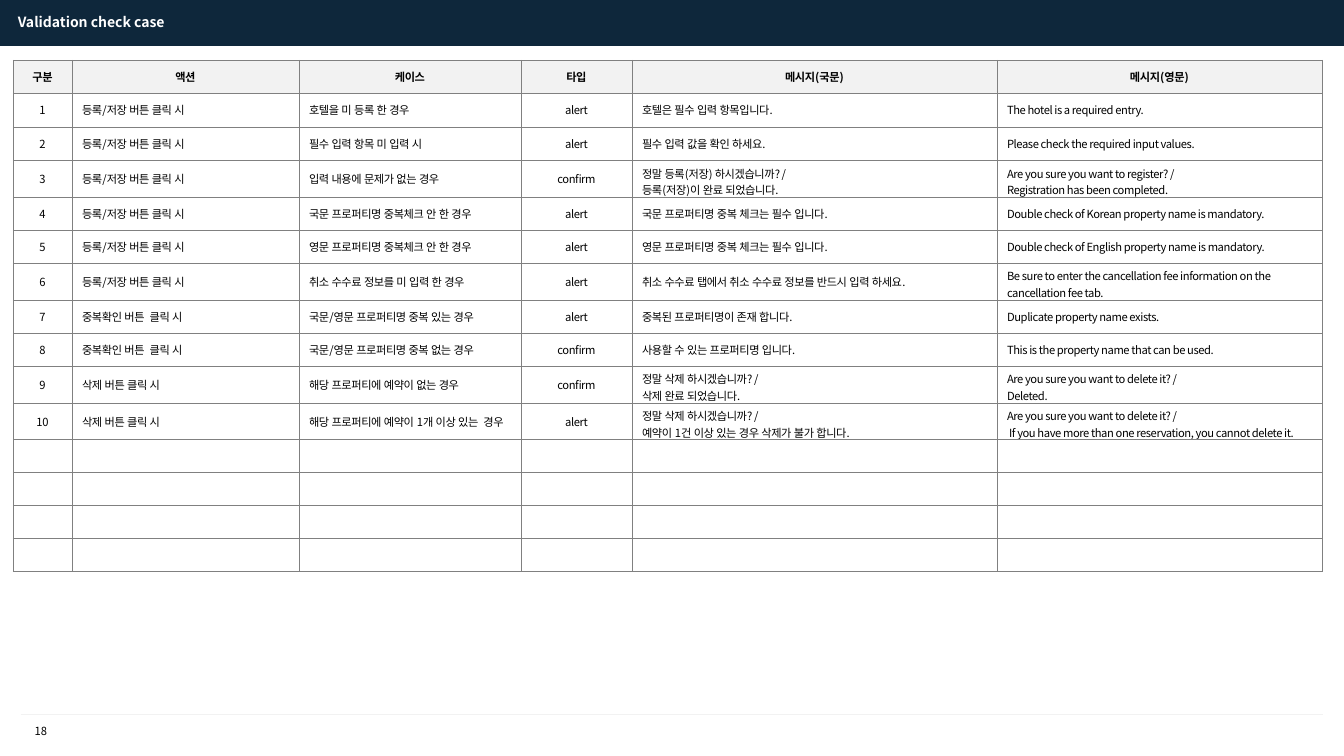
from lxml.etree import SubElement
from pptx import Presentation
from pptx.dml.color import RGBColor
from pptx.enum.lang import MSO_LANGUAGE_ID
from pptx.enum.shapes import MSO_CONNECTOR, MSO_SHAPE
from pptx.enum.text import MSO_ANCHOR, PP_ALIGN
from pptx.oxml.ns import qn
from pptx.util import Pt

PX = 914400 / 100.8
FONT = "Noto Sans CJK KR"
COLORS = {"navy": "0E273B", "pale": "F2F2F2", "grid": "808080",
          "white": "FFFFFF", "black": "000000"}
COLS = [59, 227, 222, 111, 365, 325]
BLANKS = 4
CENTERED = (0, 3)
HEAD = ["구분", "액션", "케이스", "타입", "메시지(국문)", "메시지(영문)"]
SAVE, CHECK, DROP = "등록/저장 버튼 클릭 시", "중복확인 버튼  클릭 시", "삭제 버튼 클릭 시"
CASES = [
    (SAVE, "호텔을 미 등록 한 경우", "alert", "호텔은 필수 입력 항목입니다.",
     "The hotel is a required entry."),
    (SAVE, "필수 입력 항목 미 입력 시", "alert", "필수 입력 값을 확인 하세요.",
     "Please check the required input values."),
    (SAVE, "입력 내용에 문제가 없는 경우", "confirm",
     "정말 등록(저장) 하시겠습니까? /\n등록(저장)이 완료 되었습니다.",
     "Are you sure you want to register? /\nRegistration has been completed."),
    (SAVE, "국문 프로퍼티명 중복체크 안 한 경우", "alert",
     "국문 프로퍼티명 중복 체크는 필수 입니다.",
     "Double check of Korean property name is mandatory."),
    (SAVE, "영문 프로퍼티명 중복체크 안 한 경우", "alert",
     "영문 프로퍼티명 중복 체크는 필수 입니다.",
     "Double check of English property name is mandatory."),
    (SAVE, "취소 수수료 정보를 미 입력 한 경우", "alert",
     "취소 수수료 탭에서 취소 수수료 정보를 반드시 입력 하세요.",
     "Be sure to enter the cancellation fee information on the cancellation fee tab."),
    (CHECK, "국문/영문 프로퍼티명 중복 있는 경우", "alert",
     "중복된 프로퍼티명이 존재 합니다.", "Duplicate property name exists."),
    (CHECK, "국문/영문 프로퍼티명 중복 없는 경우", "confirm",
     "사용할 수 있는 프로퍼티명 입니다.",
     "This is the property name that can be used."),
    (DROP, "해당 프로퍼티에 예약이 없는 경우", "confirm",
     "정말 삭제 하시겠습니까? /\n삭제 완료 되었습니다.",
     "Are you sure you want to delete it? /\nDeleted."),
    (DROP, "해당 프로퍼티에 예약이 1개 이상 있는  경우", "alert",
     "정말 삭제 하시겠습니까? /\n예약이 1건 이상 있는 경우 삭제가 불가 합니다.",
     "Are you sure you want to delete it? /\n"
     " If you have more than one reservation, you cannot delete it."),
]
ROWS = [33, 34] + [33] * (len(CASES) - 1 + BLANKS)


def px(*sizes):
    """Turn pixel lengths into EMU."""
    return [round(size * PX) for size in sizes]


def color(name):
    """Return a named colour."""
    return RGBColor.from_string(COLORS[name])


def style(frame, size, tint, bold=False, align=PP_ALIGN.LEFT, track=0):
    """Format every paragraph and run of a text frame."""
    for para in frame.paragraphs:
        para.alignment = align
        for run in para.runs:
            font = run.font
            font.size, font.bold, font.name = Pt(size), bold, FONT
            font.language_id = MSO_LANGUAGE_ID.KOREAN
            font.color.rgb = color(tint)
            props = run._r.get_or_add_rPr()
            SubElement(props, qn("a:ea"), typeface=FONT)
            if track:
                props.set("spc", str(track))
        if not para.runs:
            SubElement(para._p, qn("a:endParaRPr"), sz=str(size * 100))


def label(slide, box, text, size, tint, wrap=True, **look):
    """Add a middle-anchored line of text."""
    frame = slide.shapes.add_textbox(*px(*box)).text_frame
    frame.word_wrap = wrap
    frame.vertical_anchor = MSO_ANCHOR.MIDDLE
    frame.text = text
    style(frame, size, tint, **look)


def header(slide, box):
    """Draw the title bar with its title."""
    left, top, width, height = box
    bar = slide.shapes.add_shape(MSO_SHAPE.RECTANGLE, *px(*box))
    bar.shadow.inherit = False
    bar.fill.solid()
    bar.fill.fore_color.rgb = color("navy")
    bar.line.fill.background()
    label(slide, (left + 8, top + 8, 347, 27), "Validation check case",
          10, "white", bold=True)


def footer(slide, box):
    """Draw the rule and the page number."""
    left, top, width, height = box
    rule = slide.shapes.add_connector(
        MSO_CONNECTOR.STRAIGHT, *px(left, top, left + width, top))
    rule.line.color.rgb = color("pale")
    rule.line.width = Pt(0.75)
    SubElement(rule._element.spPr, qn("a:effectLst"))
    label(slide, (left - 4, top + 4, 48, height - 4), "18", 8, "black",
          wrap=False, align=PP_ALIGN.CENTER)


def border(cell):
    """Give a cell thin lines on all four sides."""
    props = cell._tc.get_or_add_tcPr()
    for spot, side in enumerate(("lnL", "lnR", "lnT", "lnB")):
        line = props.makeelement(qn(f"a:{side}"), {"w": str(Pt(0.25))})
        fill = SubElement(line, qn("a:solidFill"))
        SubElement(fill, qn("a:srgbClr"), val=COLORS["grid"])
        props.insert(spot, line)


def grid(slide, box):
    """Draw the table of validation cases."""
    rows = [HEAD] + [(str(num), *case) for num, case in enumerate(CASES, 1)]
    rows += [[""] * len(COLS)] * BLANKS
    table = slide.shapes.add_table(len(rows), len(COLS), *px(*box)).table
    for col, width in zip(table.columns, px(*COLS)):
        col.width = width
    for row, height in zip(table.rows, px(*ROWS)):
        row.height = height
    for r, texts in enumerate(rows):
        for c, text in enumerate(texts):
            cell = table.cell(r, c)
            cell.text = text
            cell.vertical_anchor = MSO_ANCHOR.MIDDLE
            cell.fill.solid()
            cell.fill.fore_color.rgb = color("white" if r else "pale")
            border(cell)
            mid = r == 0 or c in CENTERED
            style(cell.text_frame, 8, "black", bold=r == 0, track=-30,
                  align=PP_ALIGN.CENTER if mid else PP_ALIGN.LEFT)


def main():
    """Build and save the slide."""
    deck = Presentation()
    deck.slide_width, deck.slide_height = px(1344, 756)
    slide = deck.slides.add_slide(deck.slide_layouts[6])
    header(slide, (0, 0, 1344, 46))
    footer(slide, (21, 715, 1302, 28))
    grid(slide, (13, 60, sum(COLS), sum(ROWS)))
    deck.save("out.pptx")


if __name__ == "__main__":
    main()
